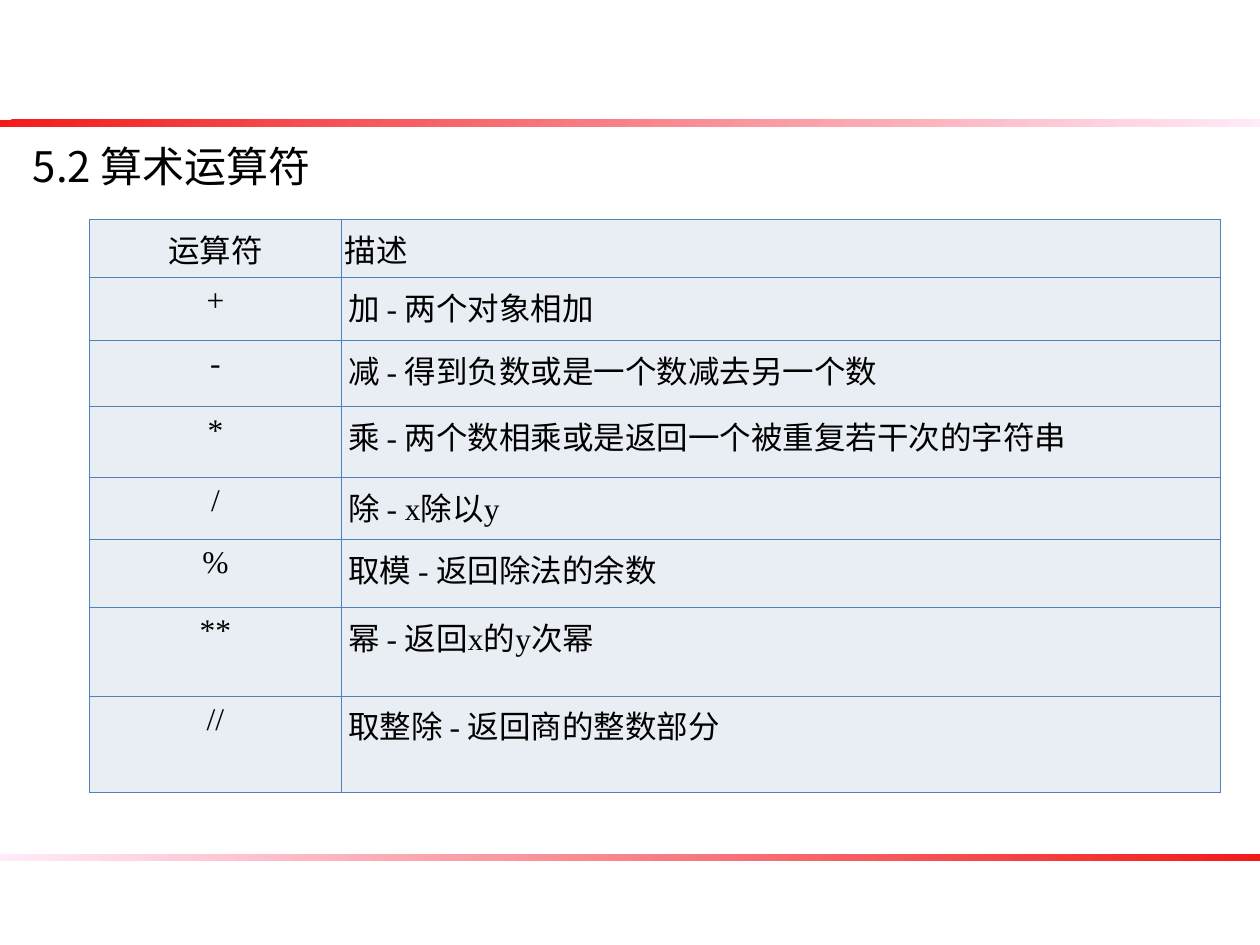
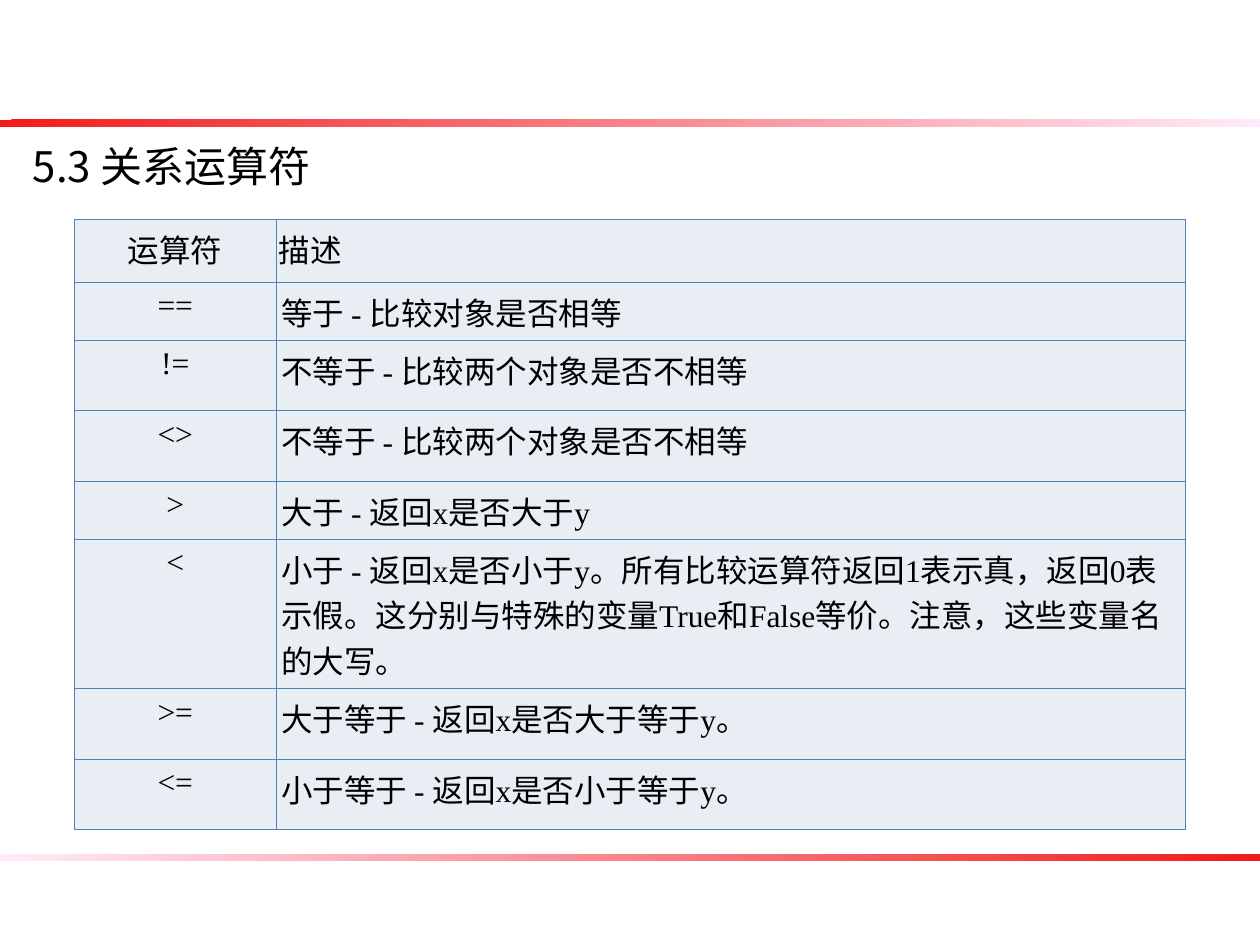
from lxml.etree import SubElement
from pptx import Presentation
from pptx.dml.color import RGBColor
from pptx.enum.shapes import MSO_SHAPE
from pptx.enum.text import MSO_ANCHOR, PP_ALIGN
from pptx.oxml.ns import qn
from pptx.util import Pt

COLORS = {
    "text": "000000",
    "band_start": "F21B1A",
    "band_end": "FFEBFA",
    "cell": "E9EDF4",
    "border": "4F81BD",
}
CJK_FONT = "Noto Sans CJK SC"
TITLE_FONT = {"name": CJK_FONT, "size": Pt(24), "bold": False}
CELL_FONT = {"name": "Times New Roman", "size": Pt(18), "bold": False}
TITLE_BOX = {"left": Pt(11.5), "top": Pt(80), "width": Pt(698), "height": Pt(45)}
TITLE_FRAME = {"vertical_anchor": MSO_ANCHOR.TOP, "word_wrap": True}
TABLE_TOP = 125.3
BANDS = [(0, 68.4, 720, 315), (-0.5, 488.2, 720.5, 180)]
HEADER = ("运算符", "描述")

ARITHMETIC = {
    "title": "5.2 算术运算符",
    "left": 51.1,
    "columns": (144, 502),
    "insets": (2, 3.8),
    "heights": (33, 36, 37.8, 40.4, 35.6, 38.8, 50.6, 55),
    "operators": [
        ("+", "加 - 两个对象相加"),
        ("-", "减 - 得到负数或是一个数减去另一个数"),
        ("*", "乘 - 两个数相乘或是返回一个被重复若干次的字符串"),
        ("/", "除 - x除以y"),
        ("%", "取模 - 返回除法的余数"),
        ("**", "幂 - 返回x的y次幂"),
        ("//", "取整除 - 返回商的整数部分"),
    ],
}
RELATIONAL = {
    "title": "5.3 关系运算符",
    "left": 42.5,
    "columns": (115.3, 519.6),
    "insets": (1.5, 2.9),
    "heights": (36, 33.2, 40.2, 40.2, 33.2, 85.2, 40.2, 40.2),
    "operators": [
        ("==", "等于 - 比较对象是否相等"),
        ("!=", "不等于 - 比较两个对象是否不相等"),
        ("<>", "不等于 - 比较两个对象是否不相等"),
        (">", "大于 - 返回x是否大于y"),
        ("<", "小于 - 返回x是否小于y。所有比较运算符返回1表示真，返回0表示假。"
              "这分别与特殊的变量True和False等价。注意，这些变量名的大写。"),
        (">=", "大于等于 - 返回x是否大于等于y。"),
        ("<=", "小于等于 - 返回x是否小于等于y。"),
    ],
}


def apply(target, values):
    for name, value in values.items():
        setattr(target, name, value)


class OperatorDeck:
    def __init__(self):
        self.deck = Presentation()
        apply(self.deck, {"slide_width": Pt(720), "slide_height": Pt(540)})
        self.layout = self.deck.slide_layouts[5]
        self.slide = None

    def new_slide(self):
        self.slide = self.deck.slides.add_slide(self.layout)

    def master_band(self, number, left, top, width, angle):
        band = self.slide.shapes.add_shape(
            MSO_SHAPE.RECTANGLE, Pt(left), Pt(top), Pt(width), Pt(4))
        band.shadow.inherit = False
        band.line.fill.background()
        band.fill.gradient()
        band.fill.gradient_angle = angle
        for stop, position, color in zip(
                band.fill.gradient_stops, (0, 1), ("band_start", "band_end")):
            stop.position = position
            stop.color.rgb = RGBColor.from_string(COLORS[color])
        band.element.nvSpPr.cNvPr.set("id", str(100 + number))
        self.layout.slide_master.shapes.element.insert(2 + number, band.element)

    def add_text(self, paragraph, text, font, align):
        paragraph.alignment = align
        run = paragraph.add_run()
        run.text = text
        apply(run.font, font)
        run.font.color.rgb = RGBColor.from_string(COLORS["text"])
        east_asian = SubElement(run.font._element, qn("a:ea"))
        east_asian.set("typeface", CJK_FONT)

    def title(self, text):
        heading = self.slide.shapes.title
        apply(heading, TITLE_BOX)
        apply(heading.text_frame, TITLE_FRAME)
        paragraph = heading.text_frame.paragraphs[0]
        paragraph.line_spacing = 0.9
        self.add_text(paragraph, text, TITLE_FONT, PP_ALIGN.LEFT)

    def border(self, cell):
        properties = cell._tc.get_or_add_tcPr()
        for index, side in enumerate(("lnL", "lnR", "lnT", "lnB")):
            line = properties.makeelement(qn(f"a:{side}"), {"w": str(Pt(0.45))})
            solid = SubElement(line, qn("a:solidFill"))
            SubElement(solid, qn("a:srgbClr")).set("val", COLORS["border"])
            properties.insert(index, line)

    def table(self, left, columns, heights, insets, operators):
        grid = self.slide.shapes.add_table(
            len(heights), len(columns), Pt(left), Pt(TABLE_TOP),
            Pt(sum(columns)), Pt(sum(heights))).table
        for column, width in zip(grid.columns, columns):
            column.width = Pt(width)
        for index, (height, words) in enumerate(zip(heights, [HEADER, *operators])):
            grid.rows[index].height = Pt(height)
            inset = Pt(insets[min(index, 1)])
            for cell, text, align in zip(
                    grid.rows[index].cells, words, (PP_ALIGN.CENTER, PP_ALIGN.LEFT)):
                apply(cell, {"margin_left": inset, "margin_right": inset,
                             "margin_top": Pt(3.6), "margin_bottom": Pt(3.6)})
                cell.fill.solid()
                cell.fill.fore_color.rgb = RGBColor.from_string(COLORS["cell"])
                self.border(cell)
                self.add_text(cell.text_frame.paragraphs[0], text, CELL_FONT, align)


def main():
    lesson = OperatorDeck()
    for section in (ARITHMETIC, RELATIONAL):
        lesson.new_slide()
        lesson.title(section["title"])
        lesson.table(section["left"], section["columns"], section["heights"],
                     section["insets"], section["operators"])
    for number, band in enumerate(BANDS):
        lesson.master_band(number, *band)
    lesson.deck.save("out.pptx")


if __name__ == "__main__":
    main()
